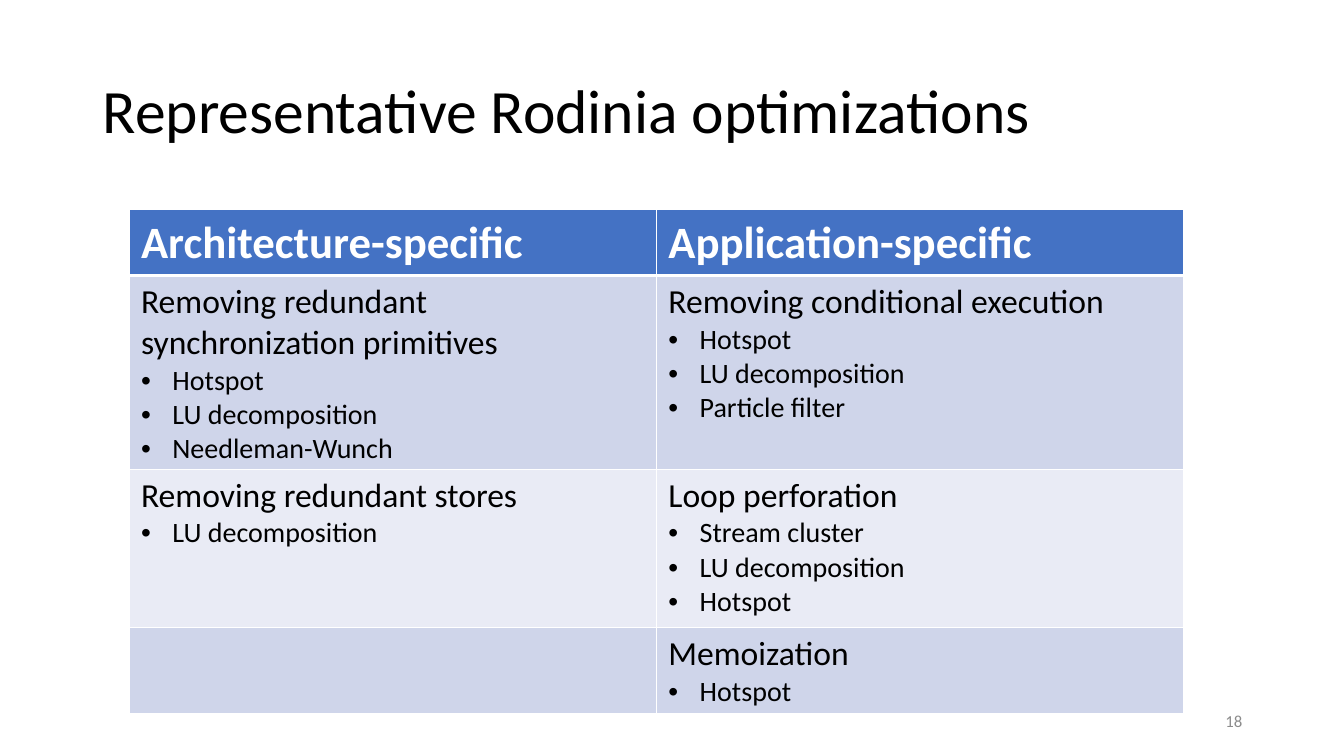
from lxml import etree
from pptx import Presentation
from pptx import util as u
from pptx.dml.color import RGBColor
from pptx.enum import text
from pptx.oxml import ns

SCALE = 9144
BLACK = RGBColor(0x00, 0x00, 0x00)
WHITE = RGBColor(0xFF, 0xFF, 0xFF)
GRAY = RGBColor(0x8C, 0x8C, 0x8C)
HEADER_BLUE = RGBColor(0x44, 0x72, 0xC4)
BAND_DARK = RGBColor(0xCF, 0xD5, 0xEA)
BAND_LIGHT = RGBColor(0xE9, 0xEB, 0xF5)

HEADINGS = ["Architecture-specific", "Application-specific"]
OPTIMIZATIONS = [
    [
        ["Removing redundant synchronization primitives",
         "Hotspot", "LU decomposition", "Needleman-Wunch"],
        ["Removing conditional execution",
         "Hotspot", "LU decomposition", "Particle filter"],
    ],
    [
        ["Removing redundant stores", "LU decomposition"],
        ["Loop perforation", "Stream cluster", "LU decomposition", "Hotspot"],
    ],
    [
        [],
        ["Memoization", "Hotspot"],
    ],
]


def px(length):
    return u.Emu(length * SCALE)


class SlideBuilder:
    font_name = "Calibri"

    def __init__(self, presentation):
        self.slide = presentation.slides.add_slide(presentation.slide_layouts[6])

    def format_paragraph(self, paragraph, size, color, bold=False):
        for run in paragraph.runs:
            run.font.name = self.font_name
            run.font.size = u.Pt(size)
            run.font.bold = bold
            run.font.color.rgb = color

    def add_text(self, box, content, size, color,
                 align=text.PP_ALIGN.LEFT, line_spacing=1.0):
        shape = self.slide.shapes.add_textbox(*map(px, box))
        frame = shape.text_frame
        frame.word_wrap = True
        frame.vertical_anchor = text.MSO_ANCHOR.MIDDLE
        frame.text = content
        paragraph = frame.paragraphs[0]
        paragraph.alignment = align
        paragraph.line_spacing = line_spacing
        self.format_paragraph(paragraph, size, color)

    def add_bullet(self, paragraph):
        properties = paragraph._p.get_or_add_pPr()
        properties.set("marL", str(px(31)))
        properties.set("indent", str(px(-31)))
        font = etree.SubElement(properties, ns.qn("a:buFont"))
        font.set("typeface", "Arial")
        bullet = etree.SubElement(properties, ns.qn("a:buChar"))
        bullet.set("char", "•")

    def add_borders(self, cell, bottom_width):
        properties = cell._tc.get_or_add_tcPr()
        widths = {"lnL": 1, "lnR": 1, "lnT": 1, "lnB": bottom_width}
        for index, (side, width) in enumerate(widths.items()):
            line = etree.Element(ns.qn(f"a:{side}"), w=str(u.Pt(width)))
            fill = etree.SubElement(line, ns.qn("a:solidFill"))
            etree.SubElement(fill, ns.qn("a:srgbClr"), val=str(WHITE))
            properties.insert(index, line)

    def style_cell(self, cell, fill, bottom_width=1):
        cell.margin_left = cell.margin_right = px(12)
        cell.margin_top = cell.margin_bottom = px(6)
        cell.fill.solid()
        cell.fill.fore_color.rgb = fill
        self.add_borders(cell, bottom_width)

    def fill_optimization(self, cell, lines):
        cell.text_frame.text = "\n".join(lines)
        heading, *benchmarks = cell.text_frame.paragraphs
        self.format_paragraph(heading, 24, BLACK)
        for paragraph in benchmarks:
            self.add_bullet(paragraph)
            self.format_paragraph(paragraph, 20, BLACK)

    def add_optimization_table(self, box, row_heights):
        table = self.slide.shapes.add_table(
            len(row_heights), len(HEADINGS), *map(px, box)).table
        for column in table.columns:
            column.width = px(box[2] // len(HEADINGS))
        for row, height in zip(table.rows, row_heights):
            row.height = px(height)
        for column, heading in enumerate(HEADINGS):
            cell = table.cell(0, column)
            cell.text_frame.text = heading
            self.format_paragraph(cell.text_frame.paragraphs[0], 32, WHITE, True)
            self.style_cell(cell, HEADER_BLUE, 3)
        for row, entries in enumerate(OPTIMIZATIONS, 1):
            for column, lines in enumerate(entries):
                cell = table.cell(row, column)
                self.fill_optimization(cell, lines)
                self.style_cell(cell, BAND_DARK if row % 2 else BAND_LIGHT)


def main():
    presentation = Presentation()
    presentation.slide_width = px(1333)
    presentation.slide_height = px(750)
    builder = SlideBuilder(presentation)
    builder.add_text((92, 40, 1150, 145), "Representative Rodinia optimizations",
                     44, BLACK, line_spacing=0.9)
    builder.add_optimization_table((128, 208, 1046, 447), [49, 157, 157, 84])
    builder.add_text((942, 695, 300, 40), "18", 12, GRAY, text.PP_ALIGN.RIGHT)
    presentation.save("out.pptx")


if __name__ == "__main__":
    main()
